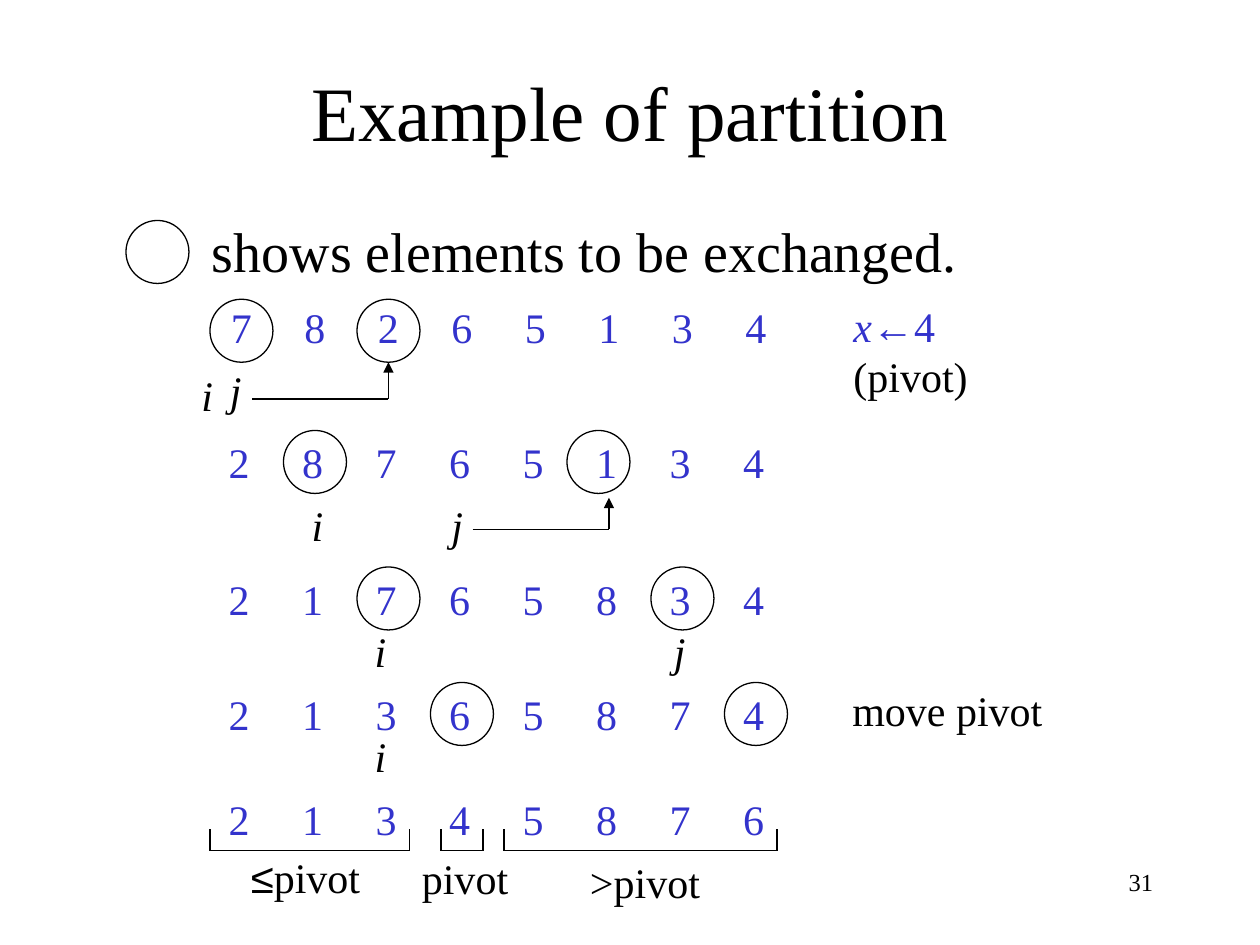
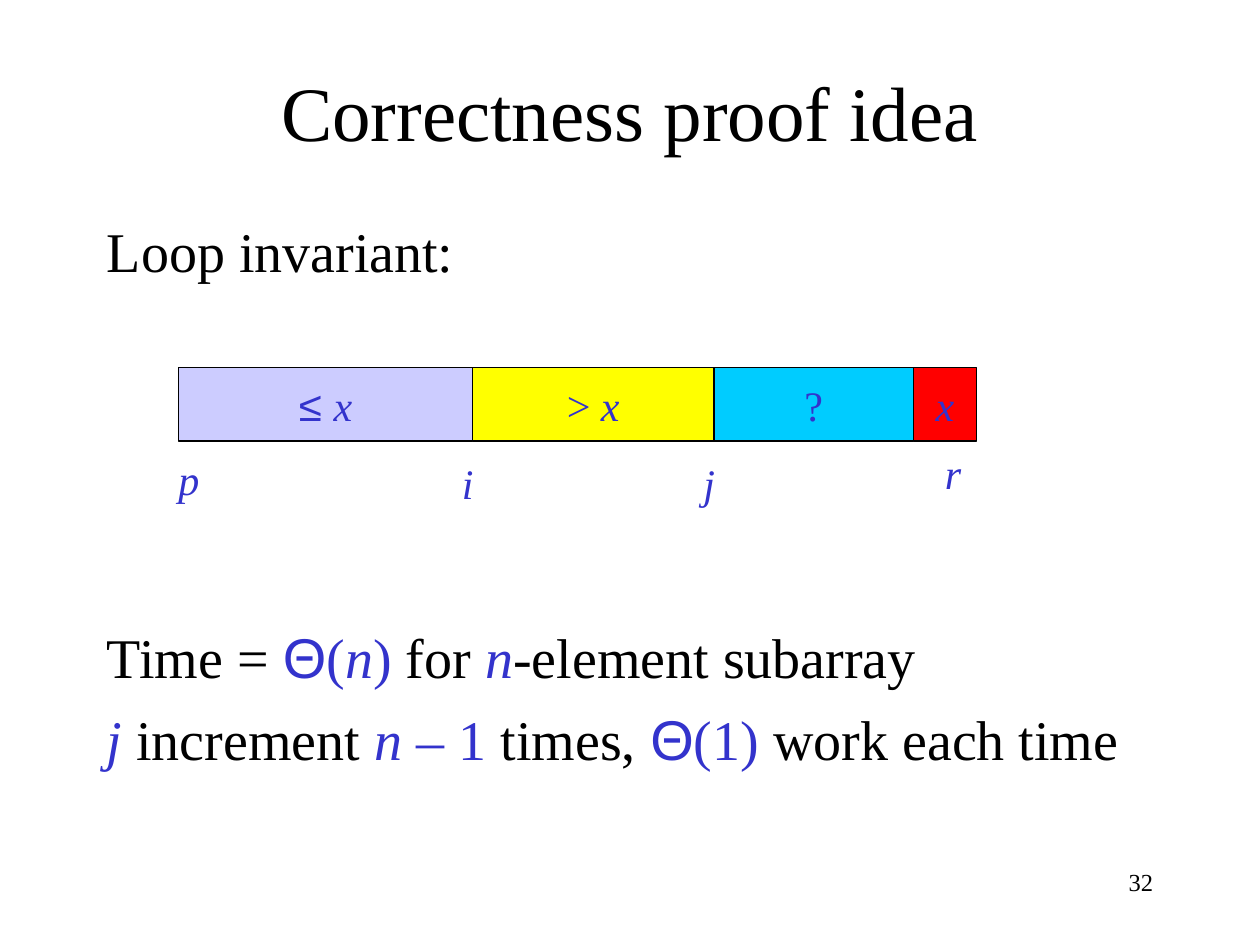
"""Two slides on quicksort partitioning: a worked example and its correctness idea."""
from lxml import etree
from pptx import Presentation
from pptx.dml.color import RGBColor
from pptx.enum.shapes import MSO_CONNECTOR, MSO_SHAPE
from pptx.enum.text import MSO_ANCHOR, PP_ALIGN
from pptx.oxml.ns import qn
from pptx.util import Pt

PX = 7620
STRAIGHT = MSO_CONNECTOR.STRAIGHT
OVAL, RECTANGLE = MSO_SHAPE.OVAL, MSO_SHAPE.RECTANGLE
LEFT, CENTER, RIGHT = PP_ALIGN.LEFT, PP_ALIGN.CENTER, PP_ALIGN.RIGHT
MIDDLE = MSO_ANCHOR.MIDDLE
COLORS = {
    "black": "000000", "blue": "3333CC", "lavender": "CCCCFF",
    "yellow": "FFFF00", "cyan": "00CCFF", "red": "FF0000",
}
RGB = {name: RGBColor.from_string(value) for name, value in COLORS.items()}
TEXT_FONT, SYMBOL_FONT = "Times New Roman", "Arial"
SYMBOLS = "≤←Θ"
COLUMN_GAP = 70
CIRCLE = 60


def write(paragraph, runs, size=24, align=LEFT):
    """Fill a paragraph with (text, colour, italic) runs."""
    paragraph.alignment = align
    for text, color, italic in runs:
        run = paragraph.add_run()
        run.text = text
        run.font.name = SYMBOL_FONT if text.strip() in SYMBOLS else TEXT_FONT
        run.font.size = Pt(size)
        run.font.italic = italic
        run.font.color.rgb = RGB[color]


def add_text(slide, left, top, width, height, runs, size=24, align=LEFT, wrap=False):
    """Add a text box with one paragraph and return its text frame."""
    box = slide.shapes.add_textbox(left * PX, top * PX, width * PX, height * PX)
    box.text_frame.word_wrap = wrap
    write(box.text_frame.paragraphs[0], runs, size, align)
    return box.text_frame


presentation = Presentation()
presentation.slide_width, presentation.slide_height = 1200 * PX, 900 * PX
slides = []
for title, number in [("Example of partition", "31"), ("Correctness proof idea", "32")]:
    slide = presentation.slides.add_slide(presentation.slide_layouts[6])
    frame = add_text(slide, 90, 30, 1020, 150, [(title, "black", False)], 44, CENTER, True)
    frame.vertical_anchor = MIDDLE
    add_text(slide, 860, 820, 250, 60, [(number, "black", False)], 14, RIGHT, True)
    slides.append(slide)
example, proof = slides

add_text(example, 190, 200, 760, 77, [("shows elements to be exchanged.", "black", False)], 32)

rows = [("78265134", 208, 281), ("28765134", 206, 410), ("21765834", 206, 540),
        ("21365874", 206, 650), ("21345876", 206, 750)]
for digits, left, top in rows:
    frame = add_text(example, left, top, 560, 60, [("\t".join(digits), "blue", False)])
    properties = frame.paragraphs[0]._p.get_or_add_pPr()
    tabs = etree.SubElement(properties, qn("a:tabLst"))
    for column in range(1, len(digits)):
        etree.SubElement(tabs, qn("a:tab"), pos=str(column * COLUMN_GAP * PX), algn="l")

circles = [(120, 210), (200, 285), (340, 285), (270, 410), (540, 410),
           (340, 540), (620, 540), (410, 650), (690, 650)]
for left, top in circles:
    circle = example.shapes.add_shape(OVAL, left * PX, top * PX, CIRCLE * PX, CIRCLE * PX)
    circle.shadow.inherit = False
    circle.fill.background()
    circle.line.color.rgb = RGB["black"]
    circle.line.width = Pt(0.75)

indices = [("i", 180, 346), ("j", 207, 341), ("i", 285, 470), ("j", 418, 470),
           ("i", 345, 590), ("j", 630, 590), ("i", 345, 690)]
for name, left, top in indices:
    add_text(example, left, top, 40, 60, [(name, "black", True)])

lines = []
for start, end, level, tip in [(240, 370, 380, 345), (450, 580, 504, 474)]:
    lines += [(start, level, end, level, False), (end, level, end, tip, True)]
for start, end in [(200, 390), (420, 460), (480, 740)]:
    lines.append((start, 810, end, 810, False))
    lines += [(side, 810, side, 790, False) for side in (start, end)]
for x1, y1, x2, y2, arrow in lines:
    line = example.shapes.add_connector(STRAIGHT, x1 * PX, y1 * PX, x2 * PX, y2 * PX)
    line.line.color.rgb = RGB["black"]
    line.line.width = Pt(0.75)
    if arrow:
        etree.SubElement(line.line._get_or_add_ln(), qn("a:tailEnd"), type="triangle")
    etree.SubElement(line._element.spPr, qn("a:effectLst"))

add_text(example, 801, 280, 205, 100, [
    ("x", "blue", True), ("←", "blue", False), ("4", "blue", False),
    (" (pivot)", "black", False)], wrap=True)
add_text(example, 800, 646, 230, 60, [("move pivot", "black", False)])
add_text(example, 227, 805, 160, 60, [("≤", "black", False), ("pivot", "black", False)])
add_text(example, 390, 806, 130, 60, [("pivot", "black", False)])
add_text(example, 550, 810, 160, 60, [(">pivot", "black", False)])

frame = add_text(proof, 90, 200, 1020, 600, [("Loop invariant:", "black", False)], 32, wrap=True)
statements = [
    (194, [("Time = ", "black", False), ("Θ", "blue", False), ("(", "blue", False),
           ("n", "blue", True), (")", "blue", False), (" for ", "black", False),
           ("n", "blue", True), ("-element subarray", "black", False)]),
    (8, [("j", "blue", True), (" increment ", "black", False), ("n", "blue", True),
         (" – 1", "blue", False), (" times, ", "black", False), ("Θ", "blue", False),
         ("(1)", "blue", False), (" work each time", "black", False)]),
]
for space, runs in statements:
    paragraph = frame.add_paragraph()
    paragraph.space_before = Pt(space)
    write(paragraph, runs, 32)

left = 170
regions = [
    (280, "lavender", [("≤ ", "blue", False), ("x", "blue", True)]),
    (230, "yellow", [("> ", "blue", False), ("x", "blue", True)]),
    (190, "cyan", [("?", "blue", False)]),
    (60, "red", [("x", "blue", True)]),
]
for width, color, runs in regions:
    region = proof.shapes.add_shape(RECTANGLE, left * PX, 350 * PX, width * PX, 70 * PX)
    region.shadow.inherit = False
    region.fill.solid()
    region.fill.fore_color.rgb = RGB[color]
    region.line.color.rgb = RGB["black"]
    region.line.width = Pt(0.75)
    region.text_frame.word_wrap = False
    region.text_frame.vertical_anchor = MIDDLE
    write(region.text_frame.paragraphs[0], runs, align=CENTER)
    left += width

for name, left, top in [("p", 158, 426), ("i", 428, 430), ("j", 658, 430), ("r", 888, 420)]:
    add_text(proof, left, top, 45, 60, [(name, "blue", True)])

presentation.save("out.pptx")
